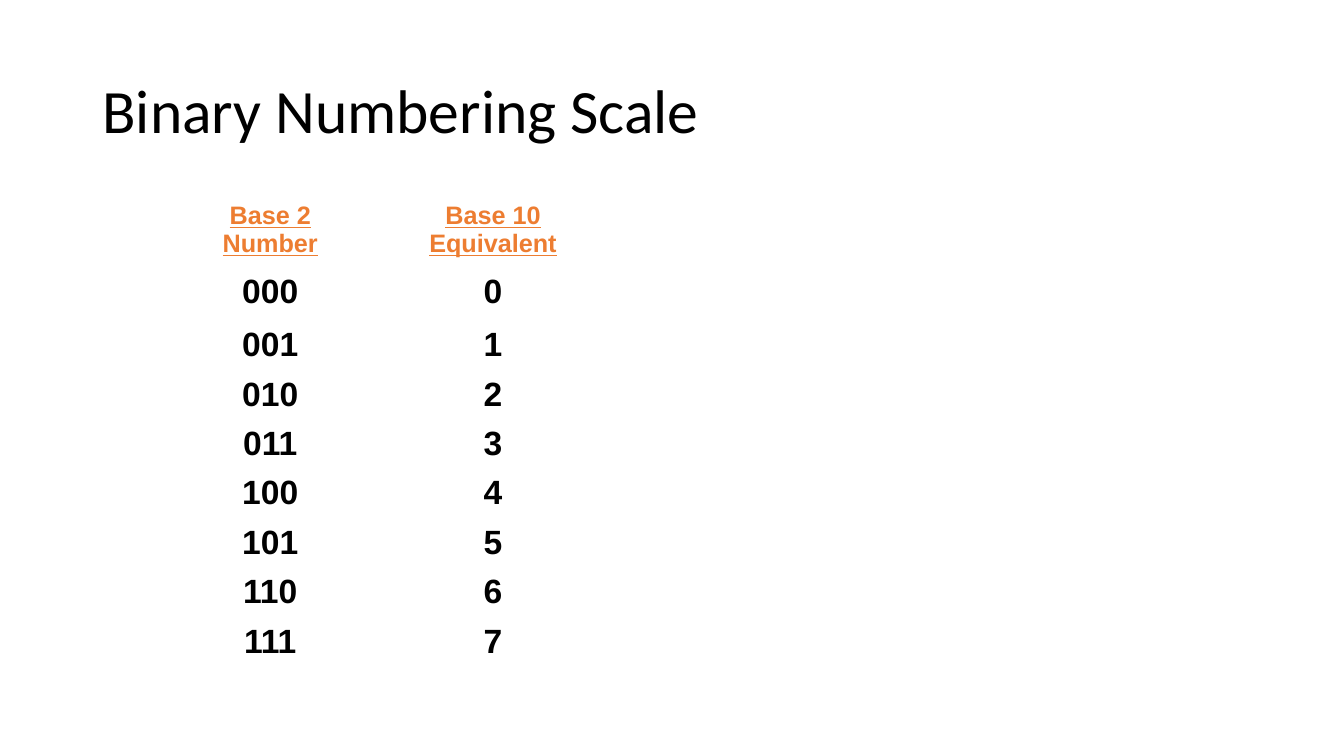
from pptx import Presentation
from pptx.dml.color import RGBColor
from pptx.enum.text import MSO_ANCHOR, PP_ALIGN
from pptx.util import Pt

BLACK = "000000"
ORANGE = "ED7D31"
COLUMN_WIDTHS = [144, 174.24, 84.24, 149.76]
ROW_HEIGHTS = [41.76, 41.04] + [35.28] * 7
HEADERS = ["Base 2 Number", "Base 10 Equivalent"]


def set_font(paragraph, name, size, color, bold=False, underline=False):
    font = paragraph.font
    font.name = name
    font.size = Pt(size)
    font.bold = bold
    font.underline = underline
    font.color.rgb = RGBColor.from_string(color)


def add_title(slide, left, top, width, height):
    title = slide.shapes.title
    title.left, title.top = Pt(left), Pt(top)
    title.width, title.height = Pt(width), Pt(height)
    title.text_frame.text = "Binary Numbering Scale"
    title.text_frame.vertical_anchor = MSO_ANCHOR.MIDDLE
    paragraph = title.text_frame.paragraphs[0]
    paragraph.alignment = PP_ALIGN.LEFT
    paragraph.line_spacing = 0.9
    set_font(paragraph, "Calibri", 44, BLACK)


def add_number_table(slide, left, top):
    rows = [HEADERS] + [[f"{number:03b}", str(number)] for number in range(8)]
    table = slide.shapes.add_table(
        len(rows), len(COLUMN_WIDTHS), Pt(left), Pt(top),
        Pt(sum(COLUMN_WIDTHS)), Pt(sum(ROW_HEIGHTS))).table
    table.first_row = False
    table.horz_banding = False
    for column, width in zip(table.columns, COLUMN_WIDTHS):
        column.width = Pt(width)
    for row, height in zip(table.rows, ROW_HEIGHTS):
        row.height = Pt(height)
    for cell in table.iter_cells():
        cell.fill.background()
    for row_index, texts in enumerate(rows):
        is_header = row_index == 0
        size, color = (18, ORANGE) if is_header else (24, BLACK)
        for column_index, text in enumerate(texts):
            cell = table.cell(row_index, column_index)
            cell.text = text
            cell.vertical_anchor = MSO_ANCHOR.MIDDLE
            paragraph = cell.text_frame.paragraphs[0]
            paragraph.alignment = PP_ALIGN.CENTER
            set_font(paragraph, "Arial", size, color, True, is_header)


def main():
    presentation = Presentation()
    presentation.slide_width, presentation.slide_height = Pt(960), Pt(540)
    slide = presentation.slides.add_slide(presentation.slide_layouts[5])
    add_title(slide, 66, 28.75, 828, 104.4)
    add_number_table(slide, 121, 140.4)
    presentation.save("out.pptx")


if __name__ == "__main__":
    main()
